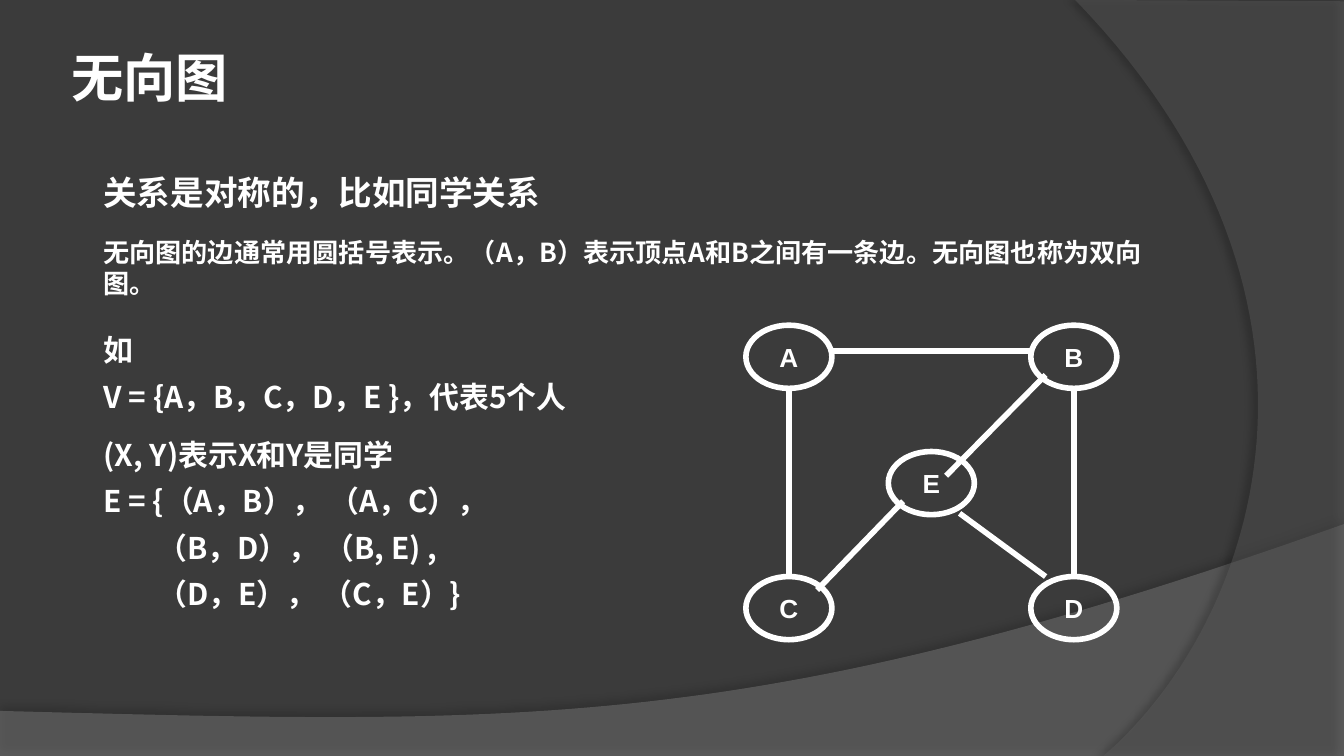
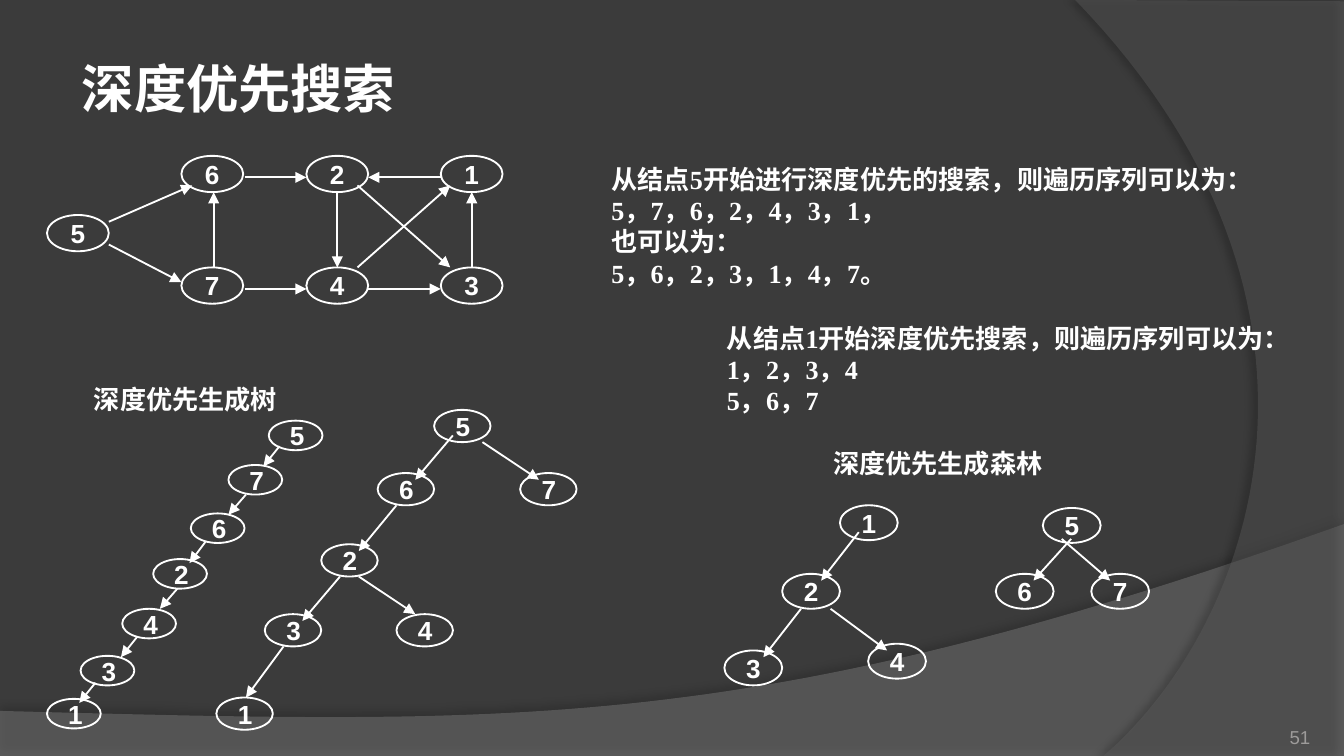
"""Builds two slides on undirected graphs and depth-first search."""
from lxml import etree
from pptx import Presentation
from pptx.dml.color import RGBColor
from pptx.enum.shapes import MSO_CONNECTOR as CONNECTOR, MSO_SHAPE as SHAPE
from pptx.enum.text import MSO_ANCHOR as ANCHOR, MSO_AUTO_SIZE as AUTO_SIZE, PP_ALIGN as ALIGN
from pptx.oxml.ns import qn
from pptx.util import Inches, Pt

COLORS = {
    "background": "3B3B3B",
    "wave": "7F7F7F",
    "side": "5E5E5E",
    "shadow": "000000",
    "text": "FFFFFF",
    "number": "9D9B9A",
}
CJK, SANS, SERIF = "Noto Sans CJK SC", "Arial", "Times New Roman"
WIDTH = 10
HEIGHT = WIDTH * 9 / 16

BANDS = [
    {
        "color": "wave", "opacity": 45,
        "shadow": {"opacity": 35, "blur": 4, "distance": 3.5, "angle": 270},
        "lines": [(0, 5.29), (0, HEIGHT), (WIDTH, HEIGHT), (WIDTH, 3.9)],
        "curve": [(5.59, 5.47), (3.91, 5.39), (0, 5.29)],
    },
    {
        "color": "side", "opacity": 40,
        "shadow": {"opacity": 45, "blur": 4, "distance": 4, "angle": 180},
        "lines": [(WIDTH, 0.01), (WIDTH, HEIGHT), (8.21, HEIGHT)],
        "curve": [(9.35, 4.64), (10.18, 2.25), (8, 0)],
    },
]

CLASSMATES = {
    "size": (0.64, 0.47), "weight": 3, "inset": (0.1, 0.05), "wrap": False, "arrow": False,
    "nodes": {"A": (5.55, 2.42), "B": (7.67, 2.42), "C": (5.55, 4.29),
              "D": (7.67, 4.29), "E": (6.61, 3.36)},
    "edges": [
        (6.19, 2.61, 7.67, 2.61), (7.04, 3.54, 7.78, 2.79), (5.87, 2.89, 5.87, 4.29),
        (7.99, 2.89, 7.99, 4.29), (6.08, 4.39, 6.72, 3.73), (7.78, 4.29, 7.14, 3.82),
    ],
}
DIRECTED = {"weight": 1, "wrap": True, "arrow": True}
SEARCH_GRAPH = {
    **DIRECTED, "size": (0.46, 0.27), "inset": (0.08, 0.04),
    "nodes": {"5": (0.35, 1.6), "6": (1.35, 1.16), "7": (1.35, 1.99), "2": (2.28, 1.16),
              "4": (2.28, 1.99), "1": (3.28, 1.16), "3": (3.28, 1.99)},
    "edges": [
        (2.66, 1.38, 3.35, 1.99), (2.66, 1.99, 3.35, 1.38), (1.59, 1.99, 1.59, 1.43),
        (1.82, 1.32, 2.28, 1.32), (2.51, 1.43, 2.51, 1.99), (3.51, 1.99, 3.51, 1.43),
        (1.82, 2.15, 2.28, 2.15), (2.74, 2.15, 3.28, 2.15), (3.28, 1.32, 2.74, 1.32),
        (0.81, 1.65, 1.43, 1.38), (0.81, 1.82, 1.35, 2.1),
    ],
}
CHAIN_TREE = {
    **DIRECTED, "size": (0.4, 0.22), "inset": (0.1, 0),
    "nodes": {"5": (2, 3.13), "7": (1.7, 3.46), "6": (1.42, 3.82), "2": (1.14, 4.16),
              "4": (0.91, 4.53), "3": (0.6, 4.88), "1": (0.35, 5.2)},
    "edges": [
        (2.08, 3.32, 1.96, 3.47), (1.83, 3.68, 1.7, 3.83), (1.53, 4.03, 1.41, 4.19),
        (1.32, 4.38, 1.19, 4.53), (1.02, 4.74, 0.9, 4.89), (0.71, 5.08, 0.59, 5.23),
    ],
}
BRANCHED_TREE = {
    **DIRECTED, "size": (0.42, 0.24), "inset": (0.1, 0),
    "nodes": {"5": (3.23, 3.05), "6": (2.81, 3.52), "7": (3.87, 3.52), "2": (2.39, 4.05),
              "3": (1.97, 4.57), "4": (2.95, 4.57), "1": (1.61, 5.19)},
    "edges": [
        (3.37, 3.24, 3.09, 3.57), (3.59, 3.29, 4.01, 3.57), (2.95, 3.76, 2.67, 4.1),
        (2.53, 4.29, 2.25, 4.62), (2.11, 4.81, 1.83, 5.19), (2.67, 4.29, 3.09, 4.57),
    ],
}
FOREST = {
    **DIRECTED, "size": (0.43, 0.26), "inset": (0.1, 0),
    "nodes": {"1": (6.25, 3.76), "2": (5.82, 4.27), "3": (5.39, 4.84), "4": (6.46, 4.79),
              "5": (7.76, 3.78), "6": (7.41, 4.27), "7": (8.12, 4.27)},
    "edges": [
        (6.39, 3.96, 6.11, 4.32), (6.18, 4.53, 6.6, 4.84), (5.96, 4.53, 5.68, 4.89),
        (7.97, 4.01, 7.69, 4.32), (7.9, 4.01, 8.26, 4.32),
    ],
}

SLIDES = [
    {
        "layout": 1,
        "title": ("无向图", (0.43, 0.29, 8.35, 0.57)),
        "body": {
            "box": (0.67, 2.34, 4.09, 2.29), "size": 16, "spacing": 1.3,
            "lines": [
                "如",
                "V = {A，B，C，D，E }，代表5个人",
                {"text": "(X, Y)表示X和Y是同学", "before": 6},
                "E = {（A，B）， （A，C），",
                {"text": "（B，D）， （B, E) ,", "indent": 0.4},
                {"text": "（D，E）， （C，E）}", "indent": 0.4},
            ],
        },
        "texts": [
            {"box": (0.67, 1.08, 9.06, 0.48), "size": 18, "spacing": 1.5,
             "lines": ["关系是对称的，比如同学关系"]},
            {"box": (0.67, 1.71, 8.11, 0.34), "lines": [
                {"text": "无向图的边通常用圆括号表示。（A，B）表示顶点A和B之间有一条边。"
                         "无向图也称为双向图。", "before": 6}]},
        ],
        "graphs": [CLASSMATES],
    },
    {
        "layout": 5,
        "title": ("深度优先搜索", (0.51, 0.37, 2.91, 0.57)),
        "texts": [
            {"box": (4.45, 1.16, 5.16, 1.04), "font": SERIF, "anchor": ANCHOR.MIDDLE, "lines": [
                "从结点5开始进行深度优先的搜索，则遍历序列可以为：",
                "5，7，6，2，4，3，1，",
                "也可以为：",
                "5，6，2，3，1，4，7。"]},
            {"box": (5.31, 2.34, 4.25, 0.81), "font": SERIF, "anchor": ANCHOR.MIDDLE, "lines": [
                "从结点1开始深度优先搜索，则遍历序列可以为：",
                "1，2，3，4",
                "5，6，7"]},
            {"box": (6.1, 3.28, 1.81, 0.34), "font": SERIF, "lines": ["深度优先生成森林"]},
            {"box": (0.6, 2.8, 1.81, 0.34), "font": SERIF, "lines": ["深度优先生成树"]},
            {"box": (8.92, 5.27, 0.83, 0.3), "font": SANS, "size": 10, "bold": False,
             "color": "number", "anchor": ANCHOR.BOTTOM, "align": ALIGN.RIGHT,
             "inset": (0, 0), "lines": ["51"]},
        ],
        "graphs": [SEARCH_GRAPH, CHAIN_TREE, BRANCHED_TREE, FOREST],
    },
]


def rgb(name):
    return RGBColor.from_string(COLORS[name])


def add_xml(parent, tag, **attributes):
    return etree.SubElement(parent, qn(tag), {key: str(value) for key, value in attributes.items()})


def write_text(shape, lines, font=CJK, size=14, bold=True, color="text", spacing=1.0,
               anchor=ANCHOR.TOP, align=ALIGN.LEFT, inset=(0.1, 0.05), wrap=True):
    frame = shape.text_frame
    frame.word_wrap = wrap
    frame.auto_size = AUTO_SIZE.NONE
    frame.vertical_anchor = anchor
    frame.margin_left = frame.margin_right = Inches(inset[0])
    frame.margin_top = frame.margin_bottom = Inches(inset[1])
    for index, line in enumerate(lines):
        item = {"text": line} if isinstance(line, str) else line
        paragraph = frame.add_paragraph() if index else frame.paragraphs[0]
        paragraph.alignment = align
        paragraph.line_spacing = spacing
        paragraph.space_before = Pt(item.get("before", 0))
        run = paragraph.add_run()
        run.text = item["text"]
        run.font.name, run.font.size, run.font.bold = font, Pt(size), bold
        run.font.color.rgb = rgb(color)
        properties = shape.element.findall(".//" + qn("a:pPr"))[-1]
        properties.set("marL", str(Inches(item.get("indent", 0))))
        properties.set("indent", "0")
        add_xml(properties, "a:buNone")
    for run_properties in shape.element.iter(qn("a:rPr")):
        add_xml(run_properties, "a:ea", typeface=CJK)


def place(shape, box):
    shape.left, shape.top, shape.width, shape.height = map(Inches, box)


def add_text(slide, box, **style):
    write_text(slide.shapes.add_textbox(*map(Inches, box)), **style)


def curve_points(start, first, second, end, steps=60):
    for step in range(1, steps + 1):
        t = step / steps
        weights = ((1 - t) ** 3, 3 * t * (1 - t) ** 2, 3 * t * t * (1 - t), t ** 3)
        yield tuple(sum(weight * point[axis] for weight, point in
                        zip(weights, (start, first, second, end))) for axis in (0, 1))


def add_band(slide, band):
    outline = band["lines"] + list(curve_points(band["lines"][-1], *band["curve"]))
    points = [(Inches(x), Inches(y)) for x, y in outline]
    builder = slide.shapes.build_freeform(*points[0])
    builder.add_line_segments(points[1:], close=True)
    shape = builder.convert_to_shape()
    shape.fill.solid()
    shape.fill.fore_color.rgb = rgb(band["color"])
    shape.line.fill.background()
    shape.shadow.inherit = False
    properties = shape.element.spPr
    add_xml(properties.find(".//" + qn("a:srgbClr")), "a:alpha", val=band["opacity"] * 1000)
    shadow = band["shadow"]
    outer = add_xml(properties.find(qn("a:effectLst")), "a:outerShdw", blurRad=Pt(shadow["blur"]),
                    dist=Pt(shadow["distance"]), dir=shadow["angle"] * 60000, rotWithShape=0)
    color = add_xml(outer, "a:srgbClr", val=COLORS["shadow"])
    add_xml(color, "a:alpha", val=shadow["opacity"] * 1000)
    return shape


def move_to_master(master, shape, index):
    shape.element.nvSpPr.cNvPr.set("id", str(100 + index))
    master.shapes.element.insert(2 + index, shape.element)


def style_line(shape, weight):
    shape.line.color.rgb = rgb("text")
    shape.line.width = Pt(weight)


def add_graph(slide, graph):
    shapes = slide.shapes.add_group_shape().shapes
    for label, position in graph["nodes"].items():
        node = shapes.add_shape(SHAPE.OVAL, *map(Inches, position + graph["size"]))
        node.fill.background()
        node.shadow.inherit = False
        style_line(node, graph["weight"])
        write_text(node, [label], font=SANS, anchor=ANCHOR.MIDDLE, align=ALIGN.CENTER,
                   inset=graph["inset"], wrap=graph["wrap"])
    for ends in graph["edges"]:
        edge = shapes.add_connector(CONNECTOR.STRAIGHT, *map(Inches, ends))
        style_line(edge, graph["weight"])
        properties = edge.element.spPr
        if graph["arrow"]:
            add_xml(properties.find(qn("a:ln")), "a:tailEnd", type="triangle")
        add_xml(properties, "a:effectLst")


def add_slide(presentation, content):
    slide = presentation.slides.add_slide(presentation.slide_layouts[content["layout"]])
    title, box = content["title"]
    place(slide.shapes.title, box)
    write_text(slide.shapes.title, [title], size=28)
    if "body" in content:
        style = dict(content["body"])
        body = slide.placeholders[1]
        place(body, style.pop("box"))
        write_text(body, **style)
    for text in content["texts"]:
        add_text(slide, **text)
    for graph in content["graphs"]:
        add_graph(slide, graph)
    return slide


def main():
    presentation = Presentation()
    presentation.slide_width, presentation.slide_height = Inches(WIDTH), Inches(HEIGHT)
    master = presentation.slide_master
    master.background.fill.solid()
    master.background.fill.fore_color.rgb = rgb("background")
    slides = [add_slide(presentation, content) for content in SLIDES]
    for index, band in enumerate(BANDS):
        move_to_master(master, add_band(slides[0], band), index)
    presentation.save("out.pptx")


if __name__ == "__main__":
    main()
